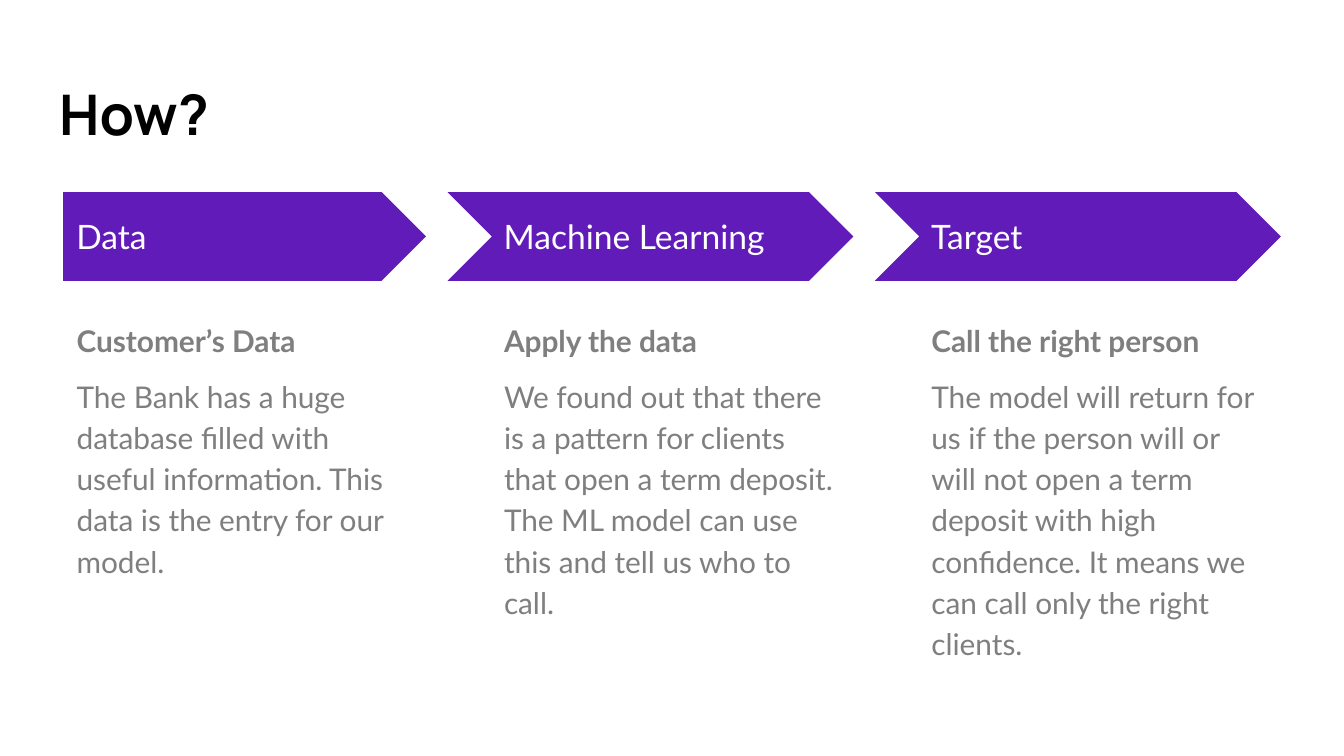
from dataclasses import dataclass

from lxml.etree import SubElement
from pptx import Presentation
from pptx.dml.color import RGBColor
from pptx.enum.shapes import MSO_SHAPE
from pptx.enum.text import MSO_ANCHOR, MSO_AUTO_SIZE, PP_ALIGN
from pptx.oxml.ns import qn
from pptx.util import Inches, Pt

COLORS = {"title": "000000", "arrow": "611BB8", "label": "FFFFFF", "body": "7F7F7F"}
SLIDE_WIDTH = 10
SLIDE_HEIGHT = SLIDE_WIDTH * 9 / 16
COLUMN_LEFT, COLUMN_STEP, COLUMN_WIDTH = 0.47, 3.18, 2.7
ARROW_TOP, ARROW_HEIGHT = 1.43, 0.66
CHEVRON_NOTCH = 0.32
COMPARISON_LAYOUT = 4


@dataclass
class Step:
    label: str
    heading: str
    description: str


STEPS = [
    Step("Data", "Customer’s Data",
         "The Bank has a huge database filled with useful information. "
         "This data is the entry for our model."),
    Step("Machine Learning", "Apply the data",
         "We found out that there is a pattern for clients that open a term deposit. "
         "The ML model can use this and tell us who to call."),
    Step("Target", "Call the right person",
         "The model will return for us if the person will or will not open a term "
         "deposit with high confidence. It means we can call only the right clients."),
]


def place(shape, left: float, top: float, width: float, height: float) -> None:
    shape.left, shape.top = Inches(left), Inches(top)
    shape.width, shape.height = Inches(width), Inches(height)


def format_frame(text_frame, anchor=MSO_ANCHOR.TOP) -> None:
    text_frame.word_wrap = True
    text_frame.auto_size = MSO_AUTO_SIZE.NONE
    text_frame.vertical_anchor = anchor
    text_frame.margin_left = text_frame.margin_right = Inches(0.1)
    text_frame.margin_top = text_frame.margin_bottom = Inches(0.1)


def format_paragraph(paragraph, font_name: str, size: int, color: str, bold: bool = False) -> None:
    paragraph.alignment = PP_ALIGN.LEFT
    for run in paragraph.runs:
        run.font.name = font_name
        run.font.size = Pt(size)
        run.font.bold = bold
        run.font.color.rgb = RGBColor.from_string(COLORS[color])


def remove_bullet(paragraph) -> None:
    properties = paragraph._p.get_or_add_pPr()
    properties.set("marL", "0")
    properties.set("indent", "0")
    SubElement(properties, qn("a:buNone"))


def add_title(slide, text: str) -> None:
    title = slide.shapes.title
    place(title, 0.34, 0.49, 9.32, 0.68)
    title.text_frame.text = text
    format_frame(title.text_frame)
    format_paragraph(title.text_frame.paragraphs[0], "Manrope", 30, "title", bold=True)


def add_arrow(slide, left: float, first: bool) -> None:
    """Draw a pentagon for the first step and a notched chevron for the others."""
    kind = MSO_SHAPE.PENTAGON if first else MSO_SHAPE.CHEVRON
    notch = 0 if first else CHEVRON_NOTCH
    arrow = slide.shapes.add_shape(kind, Inches(left - notch), Inches(ARROW_TOP),
                                   Inches(COLUMN_WIDTH + notch), Inches(ARROW_HEIGHT))
    arrow.shadow.inherit = False
    arrow.fill.solid()
    arrow.fill.fore_color.rgb = RGBColor.from_string(COLORS["arrow"])
    arrow.line.fill.background()


def add_label(slide, left: float, text: str) -> None:
    label = slide.shapes.add_textbox(Inches(left), Inches(1.59), Inches(2.47), Inches(0.34))
    label.text_frame.text = text
    format_frame(label.text_frame, MSO_ANCHOR.MIDDLE)
    format_paragraph(label.text_frame.paragraphs[0], "Lato", 18, "label")


def fill_body(body, left: float, step: Step) -> None:
    place(body, left, 2.26, COLUMN_WIDTH, 2.9)
    text_frame = body.text_frame
    text_frame.text = f"{step.heading}\n{step.description}"
    format_frame(text_frame)
    for paragraph, spacing, bold in zip(text_frame.paragraphs, (0, 8), (True, False)):
        paragraph.line_spacing = 1.15
        paragraph.space_before = paragraph.space_after = Pt(spacing)
        remove_bullet(paragraph)
        format_paragraph(paragraph, "Lato", 16, "body", bold)


def main() -> None:
    presentation = Presentation()
    presentation.slide_width = Inches(SLIDE_WIDTH)
    presentation.slide_height = Inches(SLIDE_HEIGHT)
    slide = presentation.slides.add_slide(presentation.slide_layouts[COMPARISON_LAYOUT])
    add_title(slide, "How?")

    title_index = slide.shapes.title.placeholder_format.idx
    bodies = [placeholder for placeholder in slide.placeholders
              if placeholder.placeholder_format.idx != title_index]
    for index, (step, body) in enumerate(zip(STEPS, bodies)):
        left = COLUMN_LEFT + index * COLUMN_STEP
        add_arrow(slide, left, first=index == 0)
        add_label(slide, left, step.label)
        fill_body(body, left, step)
    for unused in bodies[len(STEPS):]:
        unused.element.getparent().remove(unused.element)

    presentation.save("out.pptx")


if __name__ == "__main__":
    main()
